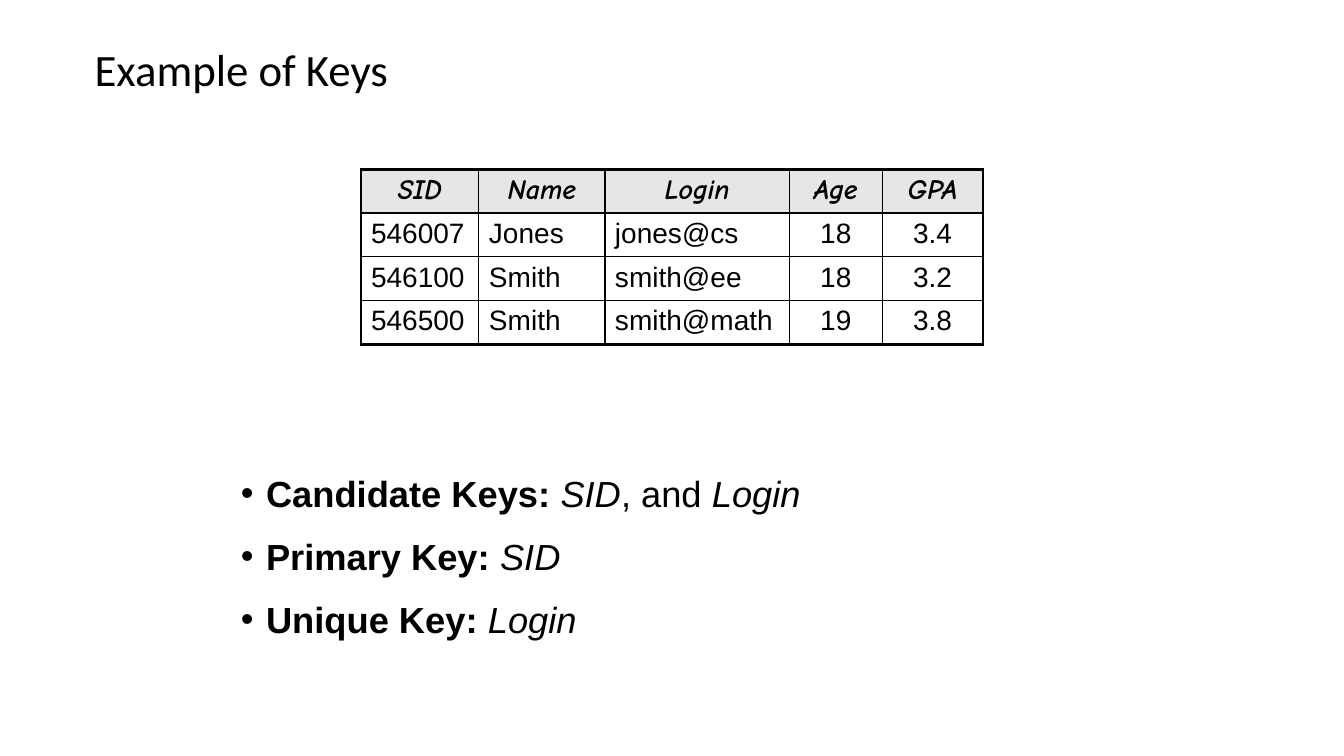
from lxml import etree
from pptx import Presentation
from pptx import util as u
from pptx.dml.color import RGBColor
from pptx.enum import text
from pptx.oxml.ns import qn

COLORS = {"ink": "000000", "header": "E7E6E6"}
STUDENTS = [
    ["SID", "Name", "Login", "Age", "GPA"],
    ["546007", "Jones", "jones@cs", "18", "3.4"],
    ["546100", "Smith", "smith@ee", "18", "3.2"],
    ["546500", "Smith", "smith@math", "19", "3.8"],
]
COLUMN_WIDTHS = [1.17, 1.25, 1.83, 0.92, 1]
CENTERED_COLUMNS = (3, 4)
KEYS = [
    [("Candidate Keys: ", "b"), ("SID", "i"), (", and ", ""), ("Login", "i")],
    [("Primary Key: ", "b"), ("SID", "i")],
    [("Unique Key: ", "b"), ("Login", "i")],
]


class SlideBuilder:
    def __init__(self, prs):
        self.s = prs.slides.add_slide(prs.slide_layouts[6])
        self.body_font = "Arial"
        self.title_font = "Calibri"
        self.header_font = "Comic Neue"

    def style(self, r, font, size, bold=False, italic=False):
        r.font.name = font
        r.font.size = u.Pt(size)
        r.font.bold = bold
        r.font.italic = italic
        r.font.color.rgb = RGBColor.from_string(COLORS["ink"])

    def box(self, left, top, width, height):
        sp = self.s.shapes.add_textbox(*map(u.Inches, (left, top, width, height)))
        sp.text_frame.word_wrap = True
        return sp.text_frame

    def title(self, words, *at):
        tf = self.box(*at)
        tf.text = words
        tf.vertical_anchor = text.MSO_ANCHOR.MIDDLE
        p = tf.paragraphs[0]
        p.line_spacing = 0.9
        self.style(p.runs[0], self.title_font, 32)

    def bullets(self, items, *at):
        tf = self.box(*at)
        for i, parts in enumerate(items):
            p = tf.add_paragraph() if i else tf.paragraphs[0]
            p.line_spacing = 1.1
            p.space_before = u.Pt(11)
            pPr = p._p.get_or_add_pPr()
            pPr.set("marL", str(u.Inches(0.25)))
            pPr.set("indent", str(u.Inches(-0.25)))
            etree.SubElement(pPr, qn("a:buFont")).set("typeface", self.body_font)
            etree.SubElement(pPr, qn("a:buChar")).set("char", "•")
            for words, look in parts:
                r = p.add_run()
                r.text = words
                self.style(r, self.body_font, 25.9, look == "b", look == "i")

    def borders(self, cell, widths):
        tcPr = cell._tc.get_or_add_tcPr()
        for i, (side, width) in enumerate(widths.items()):
            ln = etree.Element(qn(f"a:ln{side}"), w=str(u.Pt(width)))
            fill = etree.SubElement(ln, qn("a:solidFill"))
            etree.SubElement(fill, qn("a:srgbClr")).set("val", COLORS["ink"])
            tcPr.insert(i, ln)

    def table(self, rows, widths, left, top, row_height):
        last_row, last_col = len(rows) - 1, len(widths) - 1
        size = map(u.Inches, (left, top, sum(widths), row_height * len(rows)))
        tbl = self.s.shapes.add_table(len(rows), len(widths), *size).table
        tbl.first_row = tbl.horz_banding = False
        for column, width in zip(tbl.columns, widths):
            column.width = u.Inches(width)
        for i, values in enumerate(rows):
            tbl.rows[i].height = u.Inches(row_height)
            header = i == 0
            for j, value in enumerate(values):
                cell = tbl.cell(i, j)
                cell.text = value
                p = cell.text_frame.paragraphs[0]
                if header or j in CENTERED_COLUMNS:
                    p.alignment = text.PP_ALIGN.CENTER
                font = self.header_font if header else self.body_font
                self.style(p.runs[0], font, 20, header, header)
                if header:
                    cell.fill.solid()
                    cell.fill.fore_color.rgb = RGBColor.from_string(COLORS["header"])
                else:
                    cell.fill.background()
                outer = {"L": j == 0, "R": j == last_col, "T": header, "B": i == last_row}
                self.borders(cell, {side: 2.25 if edge else 1 for side, edge in outer.items()})


def main():
    prs = Presentation()
    prs.slide_width = u.Inches(13.33)
    prs.slide_height = u.Inches(7.5)
    slide = SlideBuilder(prs)
    slide.title("Example of Keys", 0.84, 0.42, 11.67, 0.58)
    slide.table(STUDENTS, COLUMN_WIDTHS, 3.58, 1.68, 0.43)
    slide.bullets(KEYS, 2.29, 4.58, 8.75, 1.83)
    prs.save("out.pptx")


if __name__ == "__main__":
    main()
